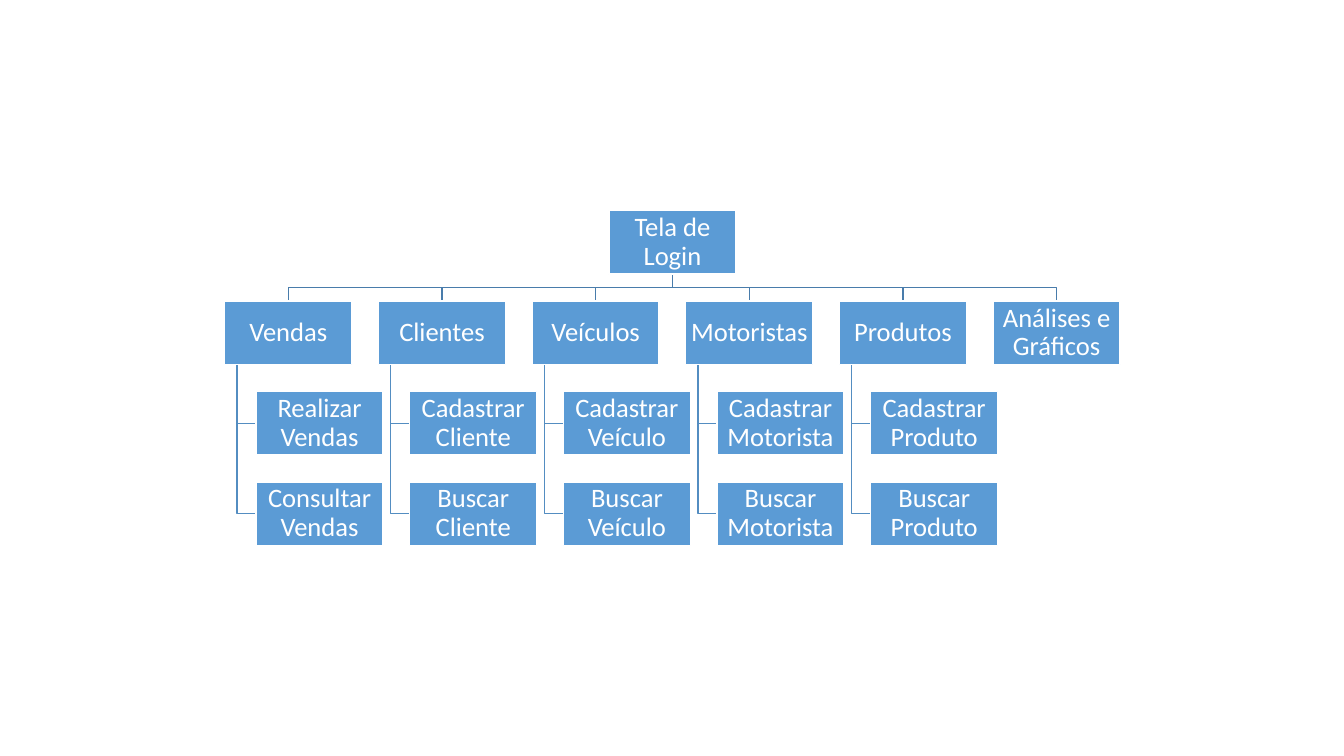
from pptx import Presentation
from pptx import util as u
from pptx.dml.color import RGBColor
from pptx.enum import shapes, text

COLORS = {"box": "5B9BD5", "white": "FFFFFF", "trunk": "497CAB", "branch": "538DC1"}

LEFT, TOP = 2.23, 2.09
COLUMN, ROW = 1.524, 0.897
WIDTH, HEIGHT = 1.26, 0.63
INDENT = 0.31
STEM = 0.12
ROOT_COLUMN = 2.5

ROOT = "Tela de Login"
MENUS = [
    ("Vendas", ["Realizar Vendas", "Consultar Vendas"]),
    ("Clientes", ["Cadastrar Cliente", "Buscar Cliente"]),
    ("Veículos", ["Cadastrar Veículo", "Buscar Veículo"]),
    ("Motoristas", ["Cadastrar Motorista", "Buscar Motorista"]),
    ("Produtos", ["Cadastrar Produto", "Buscar Produto"]),
    ("Análises e Gráficos", []),
]


def color(name):
    return RGBColor.from_string(COLORS[name])


def column_left(column):
    return LEFT + column * COLUMN


def row_top(row):
    return TOP + row * ROW


def set_line(shape, name):
    shape.shadow.inherit = False
    shape.line.color.rgb = color(name)
    shape.line.width = u.Pt(1)


def add_elbow(page, points, name):
    start, *rest = [(u.Inches(x), u.Inches(y)) for x, y in points]
    builder = page.shapes.build_freeform(*start)
    builder.add_line_segments(rest, close=False)
    elbow = builder.convert_to_shape()
    elbow.fill.background()
    set_line(elbow, name)


def add_trunk(page, column):
    root_x = column_left(ROOT_COLUMN) + WIDTH / 2
    menu_x = column_left(column) + WIDTH / 2
    start, end = row_top(0) + HEIGHT, row_top(1)
    middle = (start + end) / 2
    points = [(root_x, start), (root_x, middle), (menu_x, middle), (menu_x, end)]
    add_elbow(page, points, "trunk")


def add_branch(page, column, row):
    x = column_left(column) + STEM
    y = row_top(row) + HEIGHT / 2
    points = [(x, row_top(1) + HEIGHT), (x, y), (column_left(column) + INDENT, y)]
    add_elbow(page, points, "branch")


def add_box(page, label, column, row, indent=0):
    place = (column_left(column) + indent, row_top(row), WIDTH, HEIGHT)
    box = page.shapes.add_shape(
        shapes.MSO_SHAPE.RECTANGLE, *[u.Inches(value) for value in place])
    box.fill.solid()
    box.fill.fore_color.rgb = color("box")
    set_line(box, "white")
    frame = box.text_frame
    frame.word_wrap = True
    frame.vertical_anchor = text.MSO_ANCHOR.MIDDLE
    frame.margin_left = frame.margin_right = u.Inches(0.01)
    frame.margin_top = frame.margin_bottom = u.Inches(0.01)
    para = frame.paragraphs[0]
    para.text = label
    para.alignment = text.PP_ALIGN.CENTER
    para.line_spacing = 0.9
    para.font.name = "Calibri"
    para.font.size = u.Pt(19)
    para.font.color.rgb = color("white")


def main():
    deck = Presentation()
    deck.slide_width, deck.slide_height = u.Inches(13.33), u.Inches(7.5)
    page = deck.slides.add_slide(deck.slide_layouts[6])
    for column, (_, actions) in enumerate(MENUS):
        add_trunk(page, column)
        for row, _ in enumerate(actions, 2):
            add_branch(page, column, row)
    add_box(page, ROOT, ROOT_COLUMN, 0)
    for column, (menu, actions) in enumerate(MENUS):
        add_box(page, menu, column, 1)
        for row, action in enumerate(actions, 2):
            add_box(page, action, column, row, INDENT)
    deck.save("out.pptx")


if __name__ == "__main__":
    main()
